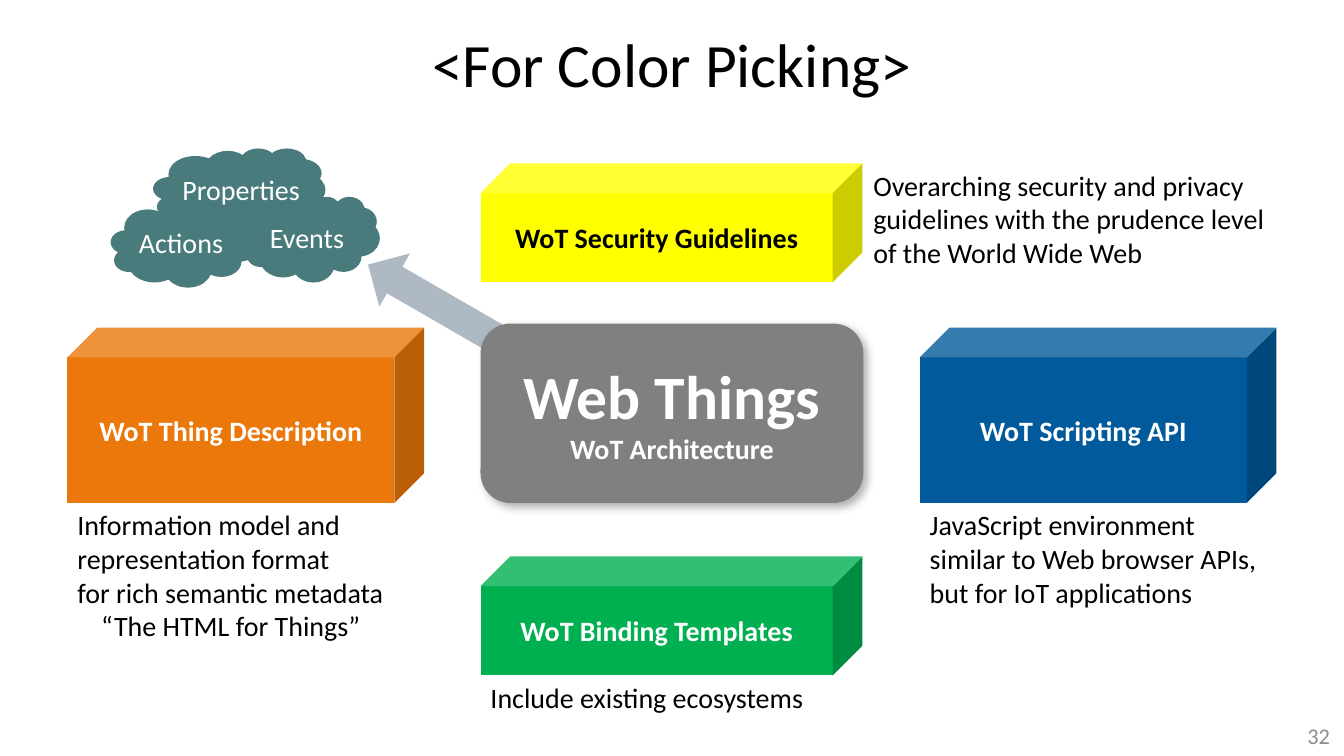
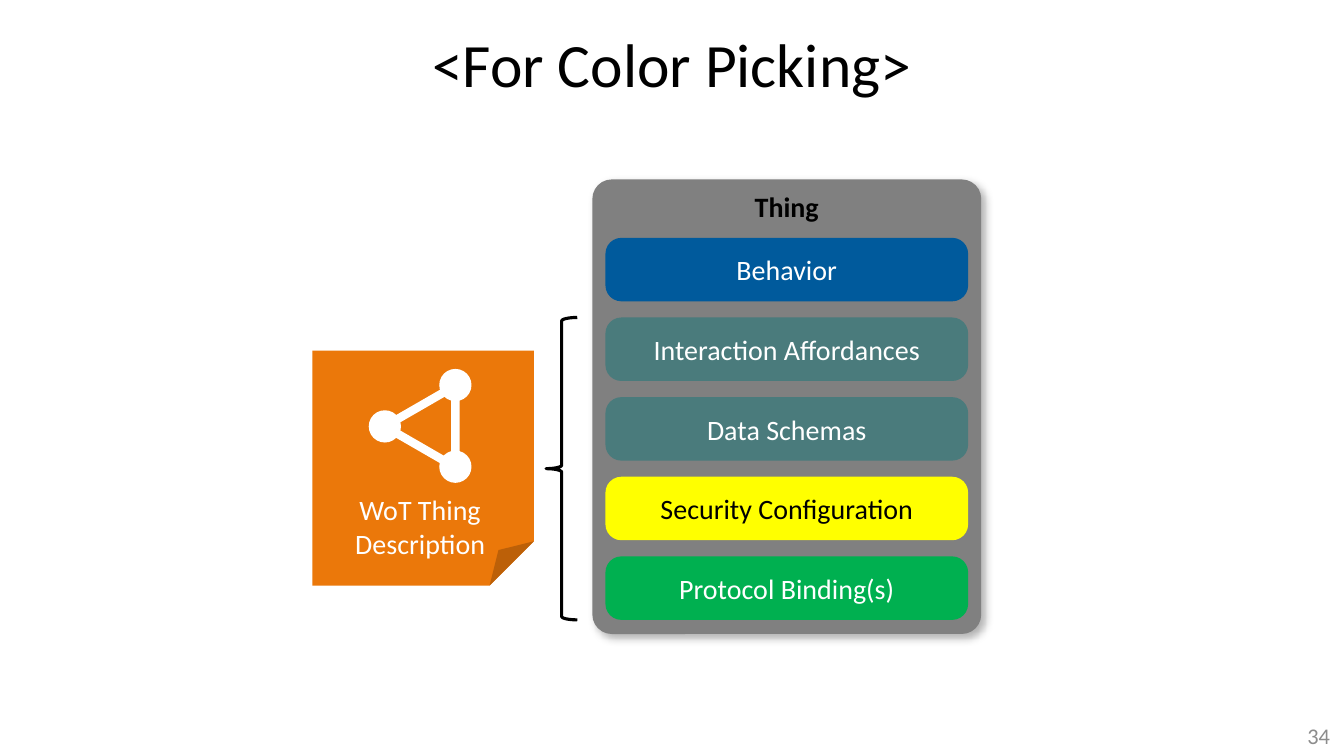
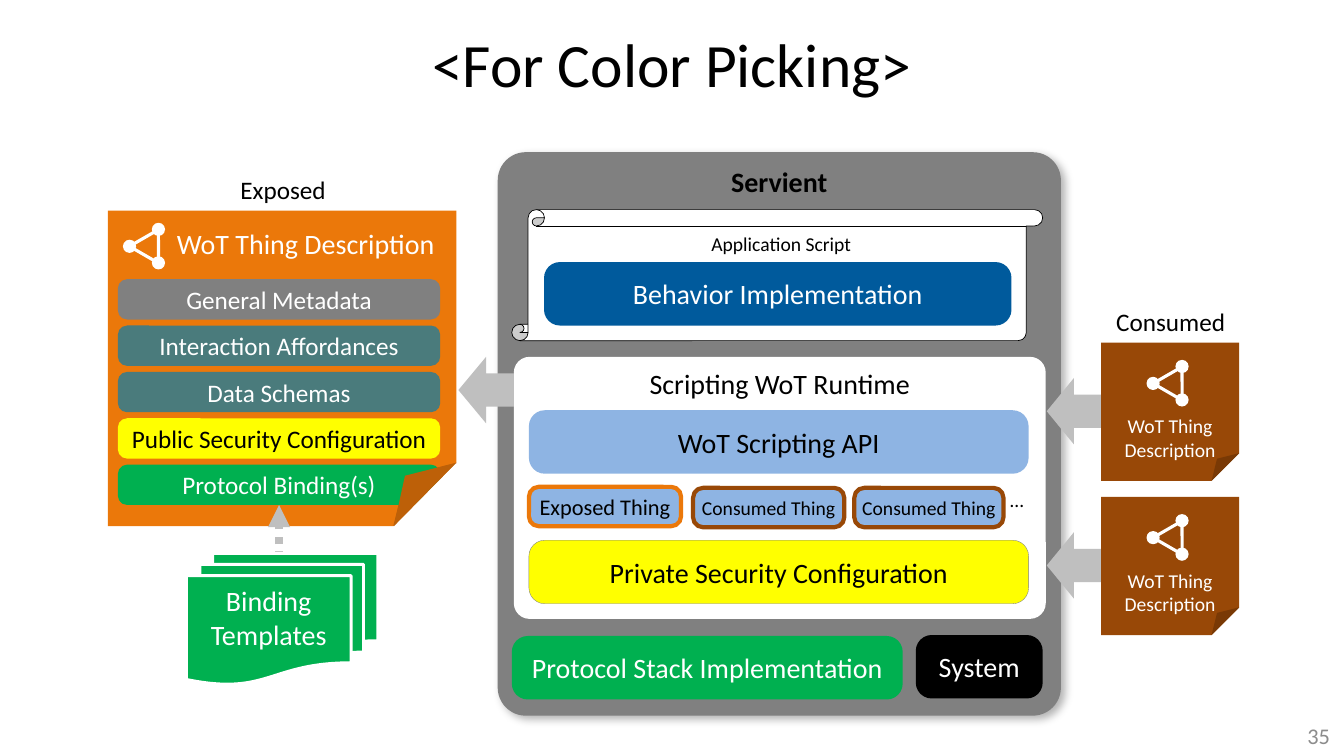
import lxml.etree
import pptx
import pptx.dml.color
import pptx.enum.dml
import pptx.enum.shapes
import pptx.enum.text
import pptx.oxml.ns
import pptx.util

FONT = "Calibri"
BLACK, WHITE = "000000", "FFFFFF"
GRAY, SILVER, NUMBER_GRAY = "808080", "BFBFBF", "8C8C8C"
ORANGE, DARK_ORANGE, BROWN = "EB780A", "BD6008", "984807"
BLUE, LIGHT_BLUE, TEAL = "005A9C", "8EB4E3", "4A7B7C"
GREEN, YELLOW, STEEL = "00B050", "FFFF00", "AFB9C3"

colour = pptx.dml.color.RGBColor.from_string
kinds = pptx.enum.shapes.MSO_SHAPE
align = pptx.enum.text.PP_ALIGN
anchors = pptx.enum.text.MSO_ANCHOR
qualified = pptx.oxml.ns.qn

presentation = pptx.Presentation()
presentation.slide_width = pptx.util.Inches(13.34)
presentation.slide_height = pptx.util.Inches(7.5)
column = presentation.slide_width / 133.4
row = presentation.slide_height / 75


def draw(shapes, kind, box, fill=None, text="", size=20, ink=WHITE, bold=False,
         alignment=align.CENTER, anchor=anchors.MIDDLE, margins=(1, 0.5, 1, 0.5),
         line=None, weight=1, corner=None, rotation=0, shadow=False):
    left, top, width, height = box
    place = [int(left * column), int(top * row), int(width * column), int(height * row)]
    shape = shapes.add_shape(kind, *place) if kind else shapes.add_textbox(*place)
    shape.shadow.inherit = False
    shape.rotation = rotation
    if corner is not None and len(shape.adjustments):
        shape.adjustments[0] = corner
    elif corner is not None:
        guides = shape._element.spPr.find(qualified("a:prstGeom")).get_or_add_avLst()
        lxml.etree.SubElement(guides, qualified("a:gd"), name="adj",
                              fmla=f"val {round(corner * 100000)}")
    if fill:
        shape.fill.solid()
        shape.fill.fore_color.rgb = colour(fill)
    else:
        shape.fill.background()
    if line:
        shape.line.color.rgb = colour(line)
        shape.line.width = pptx.util.Pt(weight)
    else:
        shape.line.fill.background()
    if shadow:
        effects = shape._element.spPr.find(qualified("a:effectLst"))
        outer = lxml.etree.SubElement(
            effects, qualified("a:outerShdw"), blurRad="76200", dist="50800",
            dir="2700000", algn="tl", rotWithShape="0")
        tone = lxml.etree.SubElement(outer, qualified("a:srgbClr"), val=BLACK)
        lxml.etree.SubElement(tone, qualified("a:alpha"), val="30000")
    if not text:
        return shape
    frame = shape.text_frame
    frame.text = text
    frame.word_wrap = alignment != align.CENTER
    frame.vertical_anchor = anchor
    frame.margin_left, frame.margin_right = int(margins[0] * column), int(margins[2] * column)
    frame.margin_top, frame.margin_bottom = int(margins[1] * row), int(margins[3] * row)
    for paragraph in frame.paragraphs:
        paragraph.alignment = alignment
        for run in paragraph.runs:
            run.font.name = FONT
            run.font.size = pptx.util.Pt(size)
            run.font.bold = bold
            run.font.color.rgb = colour(ink)
        for line_break in paragraph._p.findall(qualified("a:br")):
            lxml.etree.SubElement(line_break, qualified("a:rPr"), sz=str(size * 100))
    return shape


def draw_share_icon(shapes, left, top, scale, weight):
    icon = shapes.add_group_shape().shapes
    draw(icon, kinds.ISOSCELES_TRIANGLE,
         (left + 2.8 * scale, top + 1.2 * scale, 8.1 * scale, 7 * scale),
         line=WHITE, weight=weight, rotation=30)
    for across, down in [(7, 0), (0, 4.1), (7, 8.1)]:
        draw(icon, kinds.OVAL,
             (left + across * scale, top + down * scale, 3.2 * scale, 3.2 * scale), WHITE)


slides = []
for number in ["32", "34", "35"]:
    slide = presentation.slides.add_slide(presentation.slide_layouts[6])
    draw(slide.shapes, None, (0, 0, 133.4, 12.5), text="<For Color Picking>", size=44, ink=BLACK)
    draw(slide.shapes, None, (102.2, 71, 31.1, 4), text=number, size=16, ink=NUMBER_GRAY,
         alignment=align.RIGHT, margins=(1.3, 0.7, 1.3, 0.7))
    slides.append(slide.shapes)
overview, thing, servient = slides

draw(overview, kinds.RIGHT_ARROW, (34.9, 29.3, 24.4, 6.1), STEEL, rotation=210)
for box, fill, ink, depth, label in [
    ((47.7, 16.2, 37.9, 11.8), YELLOW, BLACK, 0.25, "WoT Security Guidelines"),
    ((91.3, 32.5, 35.4, 17.4), BLUE, WHITE, 0.17, "WoT Scripting API"),
    ((47.7, 55.2, 37.9, 11.8), GREEN, WHITE, 0.25, "WoT Binding Templates"),
    ((6.7, 32.5, 35.4, 17.4), ORANGE, WHITE, 0.17, "WoT Thing Description"),
]:
    draw(overview, kinds.CUBE, box, fill, label, ink=ink, bold=True, corner=depth)
center = draw(overview, kinds.ROUNDED_RECTANGLE, (47.7, 32.1, 38, 17.8), GRAY,
              "Web Things\nWoT Architecture", size=44, bold=True,
              margins=(1, 0.4, 1, 0.8), shadow=True)
center.text_frame.paragraphs[1].runs[0].font.size = pptx.util.Pt(20)

descriptions = [
    draw(overview, None, box, text=text, ink=BLACK, alignment=align.LEFT, anchor=anchors.TOP)
    for box, text in [
        ((6.7, 49.9, 32.4, 14.5), "Information model and representation format\v"
                                  "for rich semantic metadata\n“The HTML for Things”"),
        ((91.3, 49.9, 34.5, 11.1), "JavaScript environment similar to Web browser APIs, "
                                   "but for IoT applications"),
        ((47.7, 67, 37.9, 4.4), "Include existing ecosystems"),
        ((85.7, 16.2, 41, 11.1), "Overarching security and privacy guidelines with the "
                                 "prudence level of the World Wide Web"),
    ]
]
descriptions[0].text_frame.paragraphs[1].alignment = align.CENTER

clouds = overview.add_group_shape().shapes
for box, label, margins in [
    ((11, 20, 15, 8.5), "Actions", (1, 0.5, 1, 0.5)),
    ((15.2, 14.7, 17.1, 8.5), "Properties", (1.6, 0.5, 0, 0.5)),
    ((24.2, 19.5, 13.5, 8.5), "Events", (1, 0.5, 1, 0.5)),
]:
    draw(clouds, kinds.CLOUD, box, TEAL, label, margins=margins)

draw(thing, kinds.ROUNDED_RECTANGLE, (58.8, 17.8, 38.6, 45.1), GRAY, "Thing", ink=BLACK,
     bold=True, anchor=anchors.TOP, margins=(1, 0.4, 1, 0.8), corner=0.05, shadow=True)
for index, (label, fill, ink) in enumerate([
    ("Behavior", BLUE, WHITE),
    ("Interaction Affordances", TEAL, WHITE),
    ("Data Schemas", TEAL, WHITE),
    ("Security Configuration", YELLOW, BLACK),
    ("Protocol Binding(s)", GREEN, WHITE),
]):
    draw(thing, kinds.ROUNDED_RECTANGLE, (60.1, 23.6 + 7.9 * index, 36, 6.3), fill, label,
         ink=ink, corner=0.25)
draw(thing, kinds.LEFT_BRACE, (54.2, 31.5, 3.1, 30), line=BLACK, weight=2.25, corner=0.11)
draw(thing, kinds.FOLDED_CORNER, (31, 34.8, 22, 23.3), ORANGE, corner=0.2)
draw_share_icon(thing, 36.6, 36.6, 1, 6)
draw(thing, None, (32.4, 48.4, 18.6, 7.7), text="WoT Thing\vDescription", anchor=anchors.TOP)

draw(servient, kinds.FOLDED_CORNER, (10.7, 20.9, 34.6, 31.3), ORANGE, "WoT Thing Description",
     anchor=anchors.TOP, margins=(4.7, 1.6, 0, 0), corner=0.2)
draw_share_icon(servient, 12.2, 22.1, 0.41, 2.25)
for index, (label, fill, ink) in enumerate([
    ("General Metadata", GRAY, WHITE),
    ("Interaction Affordances", TEAL, WHITE),
    ("Data Schemas", TEAL, WHITE),
    ("Public Security Configuration", YELLOW, BLACK),
    ("Protocol Binding(s)", GREEN, WHITE),
]):
    layer = draw(servient, kinds.ROUNDED_RECTANGLE, (11.7, 27.7 + 4.6 * index, 32, 4), fill,
                 label, size=18, ink=ink, corner=0.23)

connector = servient.add_connector(
    pptx.enum.shapes.MSO_CONNECTOR.STRAIGHT,
    int(27.7 * column), int(59.8 * row), int(27.7 * column), int(50.1 * row))
connector.end_connect(layer, 2)
connector.line.color.rgb = colour(SILVER)
connector.line.width = pptx.util.Pt(5.25)
connector.line.dash_style = pptx.enum.dml.MSO_LINE.ROUND_DOT
lxml.etree.SubElement(connector.line._get_or_add_ln(), qualified("a:tailEnd"), type="triangle")
lxml.etree.SubElement(connector._element.spPr, qualified("a:effectLst"))

draw(servient, kinds.FLOWCHART_MULTIDOCUMENT, (18.5, 54.9, 19, 13), GREEN, "Binding\vTemplates",
     anchor=anchors.TOP, margins=(0, 0.8, 0, 0), line=WHITE, weight=2)
fold = servient.add_group_shape().shapes
for fill, (across, down) in [(WHITE, (45.4, 52.2)), (DARK_ORANGE, (40.2, 47.2))]:
    outline = fold.build_freeform(int(39.1 * column), int(52.2 * row))
    outline.add_line_segments([(int(across * column), int(down * row)),
                               (int(45.3 * column), int(45.9 * row))], close=True)
    corner_shape = outline.convert_to_shape()
    corner_shape.shadow.inherit = False
    corner_shape.fill.solid()
    corner_shape.fill.fore_color.rgb = colour(fill)
    corner_shape.line.fill.background()

draw(servient, kinds.ROUNDED_RECTANGLE, (49.4, 15.1, 55.9, 55.9), GRAY, "Servient", ink=BLACK,
     bold=True, anchor=anchors.TOP, margins=(1, 0.4, 1, 0.8), corner=0.05, shadow=True)
draw(servient, kinds.ROUNDED_RECTANGLE, (51, 35.4, 52.8, 26), WHITE, "Scripting WoT Runtime",
     ink=BLACK, anchor=anchors.TOP, corner=0.06)
draw(servient, kinds.VERTICAL_SCROLL, (50.8, 20.8, 52.7, 13), WHITE, line=BLACK, weight=0.5)
for box, fill, label, size, ink, line, weight in [
    ((54, 26, 46.4, 6.3), BLUE, "Behavior Implementation", 20, WHITE, None, 1),
    ((50.8, 63.1, 38.8, 6.3), GREEN, "Protocol Stack Implementation", 20, WHITE, None, 1),
    ((90.9, 63, 12.6, 6.3), BLACK, "System", 20, WHITE, None, 1),
    ((52.5, 53.6, 49.6, 6.3), YELLOW, "Private Security Configuration", 20, BLACK, GRAY, 0.25),
    ((52.5, 40.7, 49.6, 6.3), LIGHT_BLUE, "WoT Scripting API", 20, BLACK, None, 1),
    ((52.5, 48.3, 15.1, 3.9), LIGHT_BLUE, "Exposed Thing", 16, BLACK, ORANGE, 3),
    ((68.8, 48.4, 15, 3.9), LIGHT_BLUE, "Consumed Thing", 14, BLACK, BROWN, 3),
    ((84.8, 48.4, 14.8, 3.9), LIGHT_BLUE, "Consumed Thing", 14, BLACK, BROWN, 3),
]:
    draw(servient, kinds.ROUNDED_RECTANGLE, box, fill, label, size=size, ink=ink,
         line=line, weight=weight, corner=0.25)
for box, label, size in [
    ((69.5, 22.5, 16.1, 3.4), "Application Script", 14),
    ((22.8, 16.8, 10.6, 4), "Exposed", 18),
    ((109.7, 29.9, 13, 4), "Consumed", 18),
    ((99.1, 47.5, 3.7, 4.2), "…", 14),
]:
    draw(servient, None, box, text=label, size=size, ink=BLACK)

draw(servient, kinds.LEFT_ARROW, (45.5, 35.4, 5.5, 6.6), SILVER)
for top in [34, 49.3]:
    draw(servient, kinds.LEFT_ARROW, (103.9, top + 3.5, 5.4, 6.6), SILVER)
    draw(servient, kinds.FOLDED_CORNER, (109.3, top, 13.7, 13.7), BROWN, "WoT Thing\vDescription",
         size=14, anchor=anchors.TOP, margins=(0, 7.1, 0, 0), corner=0.2)
    draw_share_icon(servient, 113.8, top + 1.7, 0.41, 2.25)

presentation.save("out.pptx")
